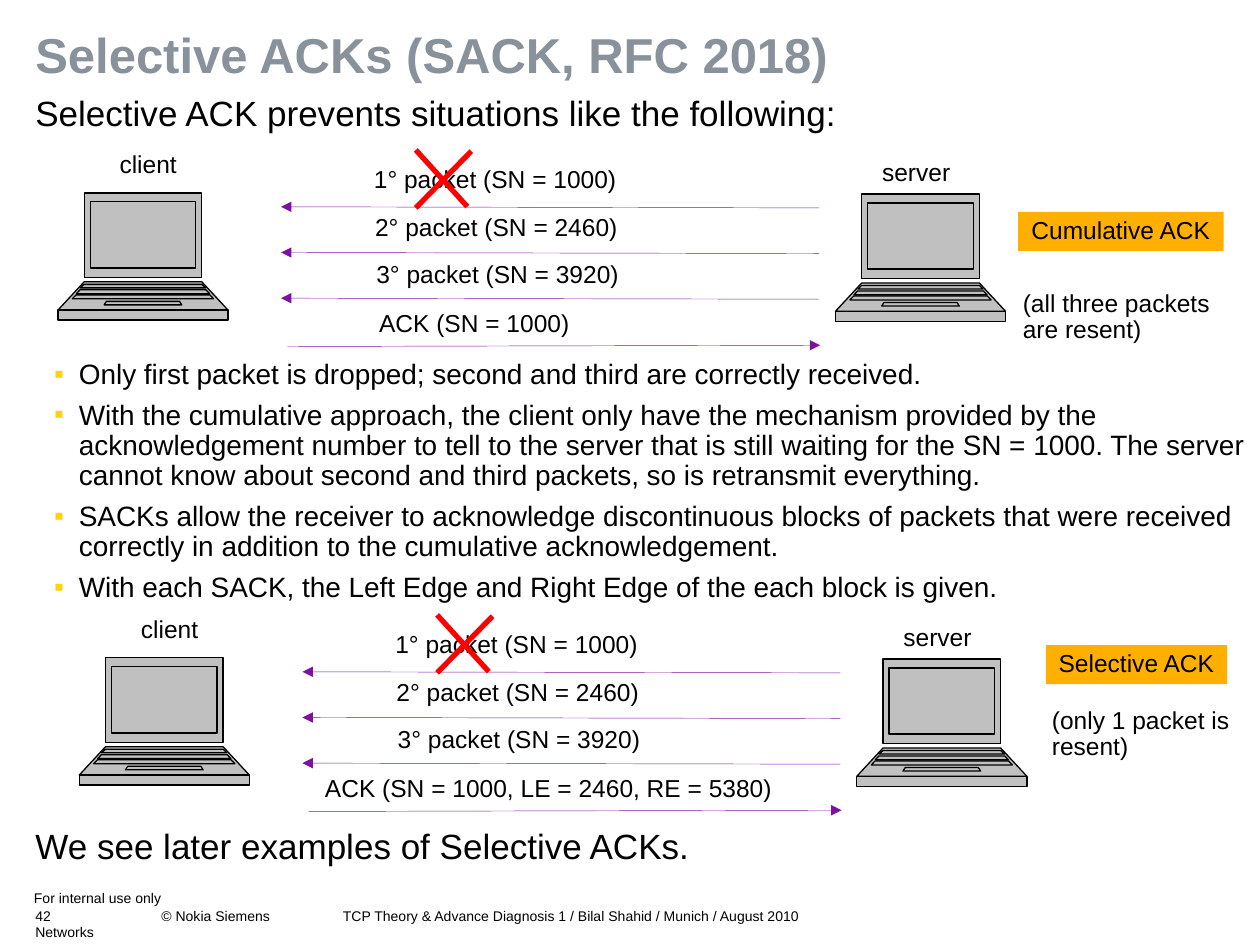
from copy import copy
from dataclasses import dataclass

from lxml import etree
from pptx import Presentation
from pptx.dml.color import RGBColor
from pptx.enum import shapes, text
from pptx.oxml import ns
from pptx.util import Pt


@dataclass(frozen=True)
class Theme:
    font: str = "Arial"
    ink: str = "000000"
    heading: str = "89929B"
    bullet: str = "FFD308"
    badge: str = "FFAF00"
    laptop: str = "C0C0C0"
    arrow: str = "7F10A2"
    loss: str = "FF0000"
    title_size: int = 28
    lead_size: int = 20
    bullet_size: int = 16
    label_size: int = 14
    footer_size: int = 8


THEME = Theme()
LABEL_INSETS = (7.2, 3.6)
LABEL_HEIGHT = 22.3

# Laptop outlines: top y, bottom y, half width at the top, half width at the bottom
LAPTOP_HALF = 48.6
LAPTOP_PARTS = [
    (0, 48.4, 33.6, 33.6),        # lid
    (50.8, 67, 33.6, 48.6),       # keyboard deck
    (67, 72.7, 48.6, 48.6),       # front edge
    (5.1, 42.9, 30.1, 30.1),      # screen
    (52.3, 54.3, 33.7, 35.8),     # key rows
    (55.4, 57.6, 36, 38),
    (58.3, 60.5, 38.2, 40.3),
    (62, 64, 20.9, 22.2),         # touchpad
]


def color(code):
    return RGBColor.from_string(code)


def add_xml(parent, tag, **attributes):
    return etree.SubElement(parent, ns.qn(tag), attributes)


def set_frame(frame, insets=(0, 0), wrap=True):
    frame.margin_left = frame.margin_right = Pt(insets[0])
    frame.margin_top = frame.margin_bottom = Pt(insets[1])
    frame.word_wrap = wrap
    frame.vertical_anchor = text.MSO_ANCHOR.TOP
    if not wrap:
        frame.auto_size = text.MSO_AUTO_SIZE.SHAPE_TO_FIT_TEXT


def write(paragraph, words, size, ink=THEME.ink, bold=False, spacing=0.9, align=None):
    paragraph.line_spacing = spacing
    paragraph.alignment = align
    run = paragraph.add_run()
    run.text = words
    run.font.name = THEME.font
    run.font.size = Pt(size)
    run.font.bold = bold
    run.font.color.rgb = color(ink)


def add_text(slide, box, words, size, insets=(0, 0), wrap=True, **style):
    frame = slide.shapes.add_textbox(*map(Pt, box)).text_frame
    set_frame(frame, insets, wrap)
    write(frame.paragraphs[0], words, size, **style)
    return frame


def add_label(slide, box, words, wrap=False, **style):
    add_text(slide, box, words, THEME.label_size, LABEL_INSETS, wrap, **style)


def add_line(slide, start, end, ink, width, arrow=False):
    line = slide.shapes.add_connector(
        shapes.MSO_CONNECTOR.STRAIGHT, *map(Pt, (*start, *end)))
    line.line.color.rgb = color(ink)
    line.line.width = Pt(width)
    if arrow:
        add_xml(line.line._get_or_add_ln(), "a:tailEnd", type="triangle")
    add_xml(line.element.spPr, "a:effectLst")


def add_laptop(slide, left, top):
    center = left + LAPTOP_HALF
    builder = None
    for upper, lower, half_upper, half_lower in LAPTOP_PARTS:
        corners = [(Pt(center + x), Pt(top + y)) for x, y in (
            (-half_upper, upper), (half_upper, upper),
            (half_lower, lower), (-half_lower, lower))]
        if builder is None:
            builder = slide.shapes.build_freeform(*corners[0])
        else:
            builder.move_to(*corners[0])
        builder.add_line_segments(corners[1:], close=True)
    laptop = builder.convert_to_shape()
    laptop.shadow.inherit = False
    laptop.fill.solid()
    laptop.fill.fore_color.rgb = color(THEME.laptop)
    laptop.line.color.rgb = color(THEME.ink)
    laptop.line.width = Pt(0.75)

    # One path per part, so that the screen is filled over the lid
    joined = next(laptop.element.iter(ns.qn("a:path")))
    steps = list(joined)
    for step in steps:
        joined.remove(step)
    holder = joined.getparent()
    for step in steps:
        if step.tag == ns.qn("a:moveTo"):
            part = copy(joined)
            holder.append(part)
        part.append(step)
    holder.remove(joined)


def add_exchange(slide, left, top, acknowledgement, ack_left):
    """Client and server with three packets, the first one lost, and the reply."""
    def at(x, y):
        return left + x, top + y

    center = text.PP_ALIGN.CENTER
    add_laptop(slide, *at(0, 26.7))
    add_label(slide, (*at(27.6, 0), 48, LABEL_HEIGHT), "client", align=center)
    add_laptop(slide, *at(444.3, 27.4))
    add_label(slide, (*at(463.4, 4.3), 54, LABEL_HEIGHT), "server", align=center)

    # Packets from the server
    for i, sequence in enumerate((1000, 2460, 3920)):
        y = 35 + 26.1 * i
        add_line(slide, at(434.9, y + 0.3), at(127.5, y - 0.3), THEME.arrow, 0.25, True)
        add_label(slide, (*at(173.5 + 0.7 * i, 8.7 + 27.2 * i), 153, LABEL_HEIGHT),
                  f"{i + 1}° packet (SN = {sequence})")

    # Lost packet
    add_line(slide, at(236.2, 2.9), at(204.5, 35.3), THEME.loss, 3)
    add_line(slide, at(234, 34.6), at(204.5, 2.2), THEME.loss, 3)

    # Reply from the client
    add_line(slide, at(131.1, 114.5), at(435.6, 113.8), THEME.arrow, 0.25, True)
    add_label(slide, (*at(ack_left, 90.7), 289.4, LABEL_HEIGHT), acknowledgement, wrap=True)


def add_verdict(slide, left, top, badge_width, method, note_box, outcome):
    badge = slide.shapes.add_shape(
        shapes.MSO_SHAPE.RECTANGLE, *map(Pt, (left, top, badge_width, LABEL_HEIGHT)))
    badge.shadow.inherit = False
    badge.fill.solid()
    badge.fill.fore_color.rgb = color(THEME.badge)
    badge.line.fill.background()
    set_frame(badge.text_frame, LABEL_INSETS, wrap=False)
    write(badge.text_frame.paragraphs[0], method, THEME.label_size,
          align=text.PP_ALIGN.CENTER)
    add_label(slide, note_box, outcome, wrap=True)


def add_bullets(slide, box, points):
    frame = slide.shapes.add_textbox(*map(Pt, box)).text_frame
    set_frame(frame, LABEL_INSETS)
    for i, point in enumerate(points):
        paragraph = frame.paragraphs[0] if i == 0 else frame.add_paragraph()
        properties = paragraph._p.get_or_add_pPr()
        properties.set("marL", str(Pt(14.2)))
        properties.set("indent", str(-Pt(14.2)))
        add_xml(add_xml(properties, "a:buClr"), "a:srgbClr", val=THEME.bullet)
        add_xml(properties, "a:buFont", typeface=THEME.font)
        add_xml(properties, "a:buChar", char="▪")
        if i:
            paragraph.space_before = Pt(6)
        write(paragraph, point, THEME.bullet_size)


def add_footer(slide, left, top):
    size = THEME.footer_size
    add_text(slide, (left - 0.8, top, 240, 11), "For internal use only", size, spacing=1)
    number = add_text(slide, (left, top + 10, 167.8, 19.4),
                      "42\t© Nokia Siemens Networks", size, spacing=1)
    tabs = etree.Element(ns.qn("a:tabLst"))
    add_xml(tabs, "a:tab", pos=str(Pt(72)), algn="l")
    number.paragraphs[0]._p.get_or_add_pPr().append(tabs)
    add_text(slide, (left + 175.7, top + 10, 300, 9.4),
             "TCP Theory & Advance Diagnosis 1 / Bilal Shahid / Munich / August 2010",
             size, spacing=1)


def main():
    deck = Presentation()
    deck.slide_width, deck.slide_height = Pt(720), Pt(540)
    slide = deck.slides.add_slide(deck.slide_layouts[6])

    add_footer(slide, 20.2, 508.4)

    # Title, opening and closing lines
    add_text(slide, (20.2, 18, 680, 36), "Selective ACKs (SACK, RFC 2018)",
             THEME.title_size, ink=THEME.heading, bold=True)
    add_text(slide, (20.2, 54.8, 680, 24),
             "Selective ACK prevents situations like the following:", THEME.lead_size)
    add_text(slide, (20.2, 473.8, 680, 24),
             "We see later examples of Selective ACKs.", THEME.lead_size)

    add_bullets(slide, (23.8, 202.3, 696.2, 146), [
        "Only first packet is dropped; second and third are correctly received.",
        "With the cumulative approach, the client only have the mechanism provided by the "
        "acknowledgement number to tell to the server that is still waiting for the "
        "SN = 1000. The server cannot know about second and third packets, so is "
        "retransmit everything.",
        "SACKs allow the receiver to acknowledge discontinuous blocks of packets that were "
        "received correctly in addition to the cumulative acknowledgement.",
        "With each SACK, the Left Edge and Right Edge of the each block is given.",
    ])

    # Cumulative case above the bullets, selective case below
    add_exchange(slide, 33.1, 83.5, "ACK (SN = 1000)", 176.4)
    add_verdict(slide, 581.8, 121, 117.4, "Cumulative ACK",
                (577.4, 162.7, 141.8, 37.4), "(all three packets are resent)")
    add_exchange(slide, 45.3, 349.2, "ACK (SN = 1000, LE = 2460, RE = 5380)", 133.3)
    add_verdict(slide, 597.6, 368.6, 103.7, "Selective ACK",
                (594, 401, 126, 37.4), "(only 1 packet is resent)")

    deck.save("out.pptx")


if __name__ == "__main__":
    main()
